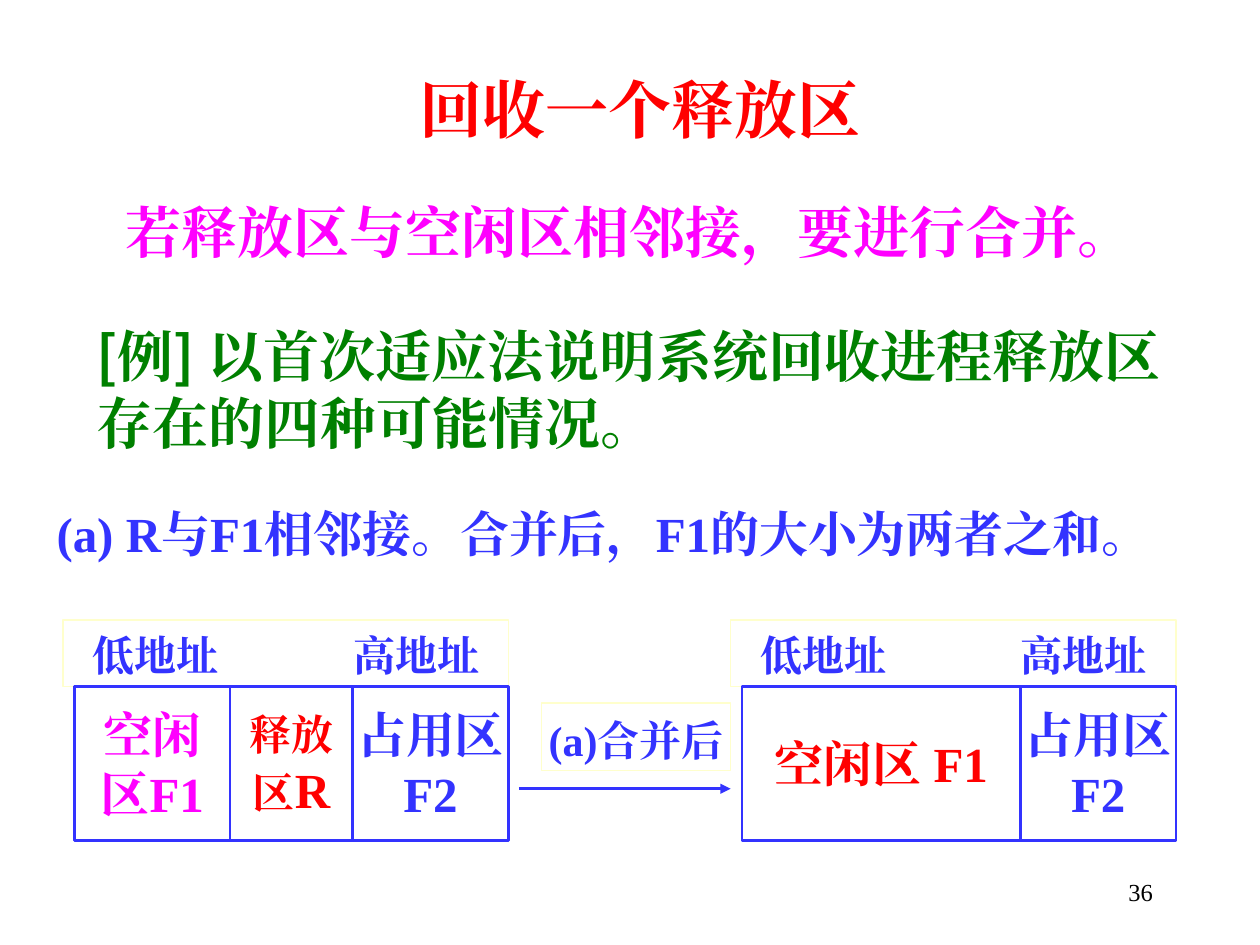
from lxml.etree import SubElement
from pptx import Presentation
from pptx.dml.color import RGBColor
from pptx.enum.shapes import MSO_CONNECTOR, MSO_SHAPE
from pptx.enum.text import MSO_ANCHOR, PP_ALIGN
from pptx.oxml.ns import qn
from pptx.util import Cm, Pt

COLORS = {"blue": "3333FF", "red": "FF0000", "magenta": "FF00FF",
          "green": "008000", "black": "000000", "cream": "FFFFCC"}
SERIF, SANS = "Times New Roman", "Noto Sans CJK SC"

# Each paragraph is a list of runs: (text, size) or (text, size, font)
HEADINGS = [
    # left, top, width, height, colour, alignment, line spacing, runs
    (5.28, 1.47, 15.24, 1.63, "red", PP_ALIGN.CENTER, 0.9,
     [("回收一个释放区", 36)]),
    (1.9, 4.01, 21.59, 1.47, "magenta", PP_ALIGN.CENTER, 0.9,
     [("若释放区与空闲区相邻接，要进行合并。", 32)]),
    (1.7, 6.35, 22.02, 2.97, "green", PP_ALIGN.LEFT, None,
     [("[例] 以首次适应法说明", 32, SANS), ("系统回收进程释放区", 32),
      ("存在的四种可能情况。", 32, SANS)]),
]
CASE = [("(a) R与F1相邻接。合并后，F1的大小为两者之和。", 28)]
ADDRESSES = [("低地址\t高地址", 24)]
MERGE_LABEL = [("(a)合并后", 24)]
PAGE_NUMBER = [("36", 14)]

OCCUPIED = (3.14, "blue", [[("占用区", 28)], [("F2", 28)]])
MEMORY_ROWS = [
    # left edge, cells: (width, colour, paragraphs)
    (1.5, [(3.14, "magenta", [[("空闲", 28)], [("区F1", 28)]]),
           (2.47, "red", [[("释放", 24)], [("区", 24), ("R", 28)]]),
           OCCUPIED]),
    (14.96, [(5.61, "red", [[("空闲区 F1", 28)]]), OCCUPIED]),
]
CELL_TOP, CELL_HEIGHT = 13.84, 3.1
LABEL_TOP, LABEL_HEIGHT, LABEL_OVERHANG = 12.5, 1.34, 0.23
ARROW_Y = 15.9


def rgb(color):
    return RGBColor.from_string(COLORS[color])


def write(shape, paragraphs, color, align, anchor=MSO_ANCHOR.TOP,
          spacing=None, bold=True, wrap=True):
    frame = shape.text_frame
    frame.word_wrap = wrap
    frame.vertical_anchor = anchor
    for index, runs in enumerate(paragraphs):
        paragraph = frame.add_paragraph() if index else frame.paragraphs[0]
        paragraph.alignment = align
        if spacing:
            paragraph.line_spacing = spacing
        for text, size, *font in runs:
            run = paragraph.add_run()
            run.text = text
            run.font.size = Pt(size)
            run.font.name = font[0] if font else SERIF
            run.font.bold = bold
            run.font.color.rgb = rgb(color)
            SubElement(run.font._element, qn("a:ea"), typeface=SERIF)
    return frame


def add_text(left, top, width, height, *content, **style):
    box = slide.shapes.add_textbox(Cm(left), Cm(top), Cm(width), Cm(height))
    return write(box, *content, **style)


def add_outlined(left, top, width, height, line, weight, *content, **style):
    box = slide.shapes.add_shape(MSO_SHAPE.RECTANGLE, Cm(left), Cm(top),
                                 Cm(width), Cm(height))
    box.shadow.inherit = False
    box.fill.background()
    box.line.color.rgb = rgb(line)
    box.line.width = Pt(weight)
    return write(box, *content, **style)


def add_address_label(left, width):
    frame = add_outlined(left, LABEL_TOP, width, LABEL_HEIGHT, "cream", 0.75,
                         [ADDRESSES], "blue", PP_ALIGN.LEFT, MSO_ANCHOR.BOTTOM)
    frame.margin_left = Cm(0.6)
    properties = frame.paragraphs[0]._p.get_or_add_pPr()
    tabs = SubElement(properties, qn("a:tabLst"))
    SubElement(tabs, qn("a:tab"), pos=str(Cm(5.25)), algn="l")


def add_arrow(start, end, y):
    arrow = slide.shapes.add_connector(MSO_CONNECTOR.STRAIGHT, Cm(start), Cm(y),
                                       Cm(end), Cm(y))
    arrow.line.color.rgb = rgb("blue")
    arrow.line.width = Pt(1.5)
    SubElement(arrow.line._get_or_add_ln(), qn("a:tailEnd"), type="triangle")
    SubElement(arrow._element.spPr, qn("a:effectLst"))


presentation = Presentation()
presentation.slide_width, presentation.slide_height = Cm(25.4), Cm(19.05)
slide = presentation.slides.add_slide(presentation.slide_layouts[6])

for *place, color, align, spacing, runs in HEADINGS:
    add_text(*place, [runs], color, align, spacing=spacing)

case_frame = add_text(0.89, 10.16, 23.6, 1.7, [CASE], "blue", PP_ALIGN.LEFT,
                      spacing=0.9)
hanging = case_frame.paragraphs[0]._p.get_or_add_pPr()
hanging.set("marL", str(Cm(0.95)))
hanging.set("indent", str(-Cm(0.95)))

for row_left, cells in MEMORY_ROWS:
    row_width = sum(width for width, *_ in cells)
    add_address_label(row_left - LABEL_OVERHANG, row_width + LABEL_OVERHANG)
    cell_left = row_left
    for width, color, paragraphs in cells:
        add_outlined(cell_left, CELL_TOP, width, CELL_HEIGHT, "blue", 1.5,
                     paragraphs, color, PP_ALIGN.CENTER, MSO_ANCHOR.MIDDLE,
                     wrap=False)
        cell_left += width

add_outlined(10.92, 14.17, 3.81, 1.37, "cream", 0.75, [MERGE_LABEL], "blue",
             PP_ALIGN.CENTER, MSO_ANCHOR.BOTTOM, wrap=False)
add_arrow(10.46, 14.73, ARROW_Y)
add_text(18.21, 17.35, 5.28, 1.27, [PAGE_NUMBER], "black", PP_ALIGN.RIGHT,
         anchor=MSO_ANCHOR.MIDDLE, bold=False)

presentation.save("out.pptx")
